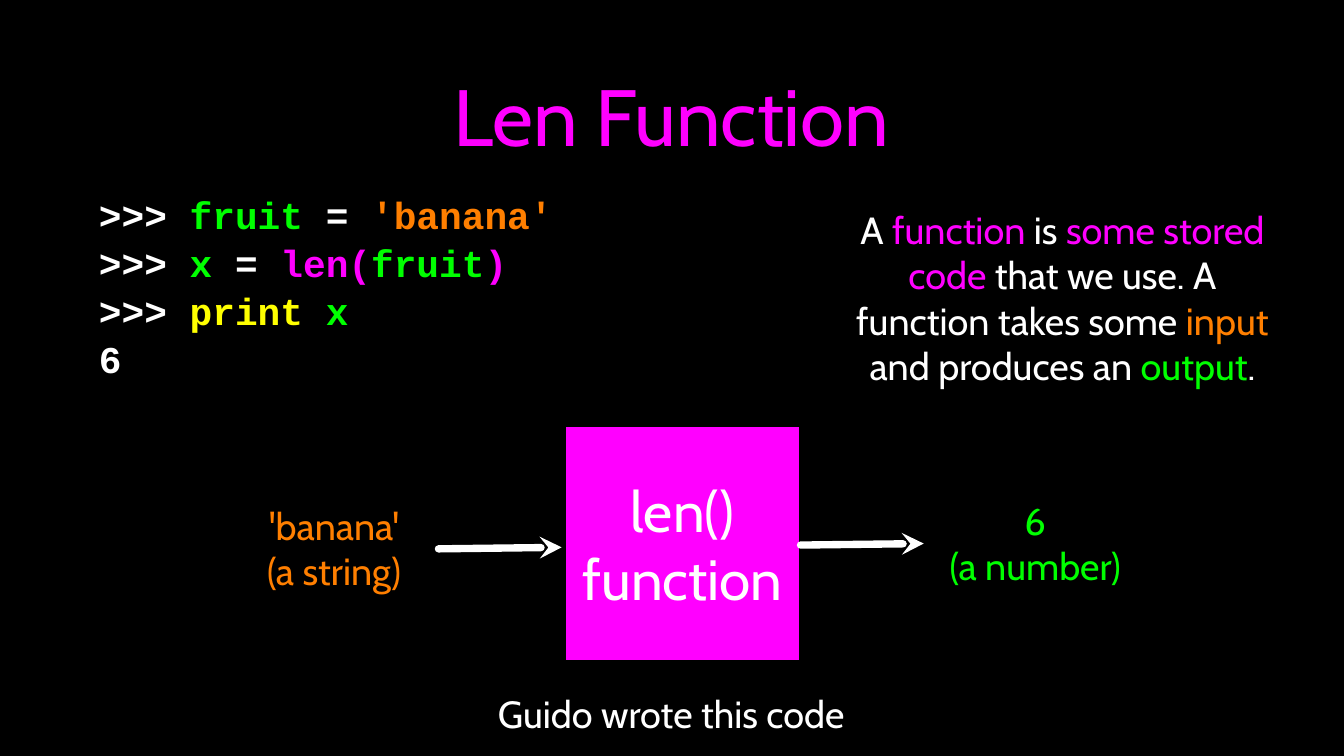
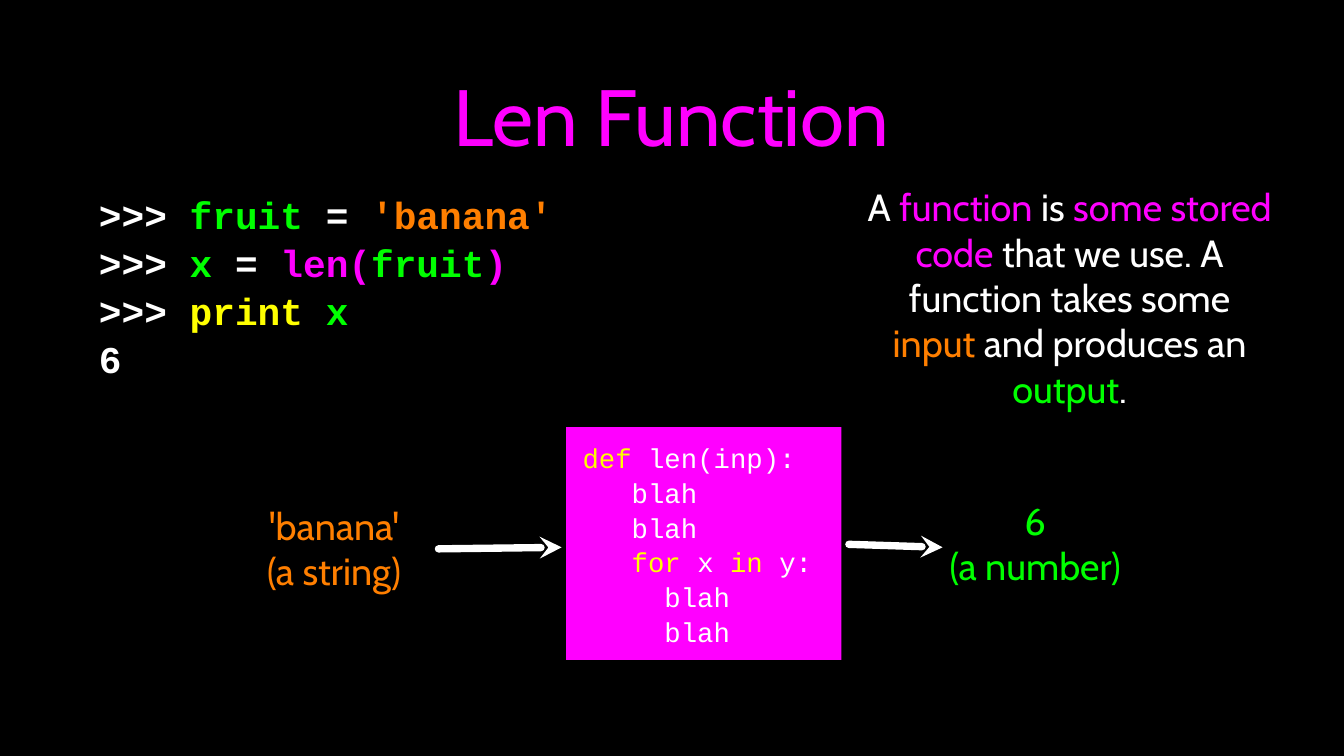
"""Build two slides that explain the len function."""

from dataclasses import dataclass
from typing import NamedTuple

from lxml.etree import SubElement
from pptx import Presentation
from pptx.dml.color import RGBColor
from pptx.enum.shapes import MSO_CONNECTOR, MSO_SHAPE
from pptx.enum.text import MSO_ANCHOR, PP_ALIGN
from pptx.oxml.ns import qn
from pptx.util import Inches, Pt


@dataclass(frozen=True)
class Theme:
    background: str = "000000"
    plain: str = "FFFFFF"
    function: str = "FF00FF"
    input: str = "FF7F00"
    output: str = "00FF00"
    keyword: str = "FFFF00"
    text_font: str = "Cabin"
    code_font: str = "Courier New"
    title_size: float = 76
    box_size: float = 54
    body_size: float = 36
    listing_size: float = 26
    arrow_width: float = 7


THEME = Theme()


class Span(NamedTuple):
    text: str
    color: str = THEME.plain


class Line(NamedTuple):
    spans: tuple[Span, ...]
    indent: int = 0


class Style(NamedTuple):
    size: float = THEME.body_size
    font: str = THEME.text_font
    bold: bool = False
    align: PP_ALIGN = PP_ALIGN.CENTER
    spacing: float = 1.0


class Area(NamedTuple):
    left: float
    top: float
    width: float
    height: float


class TextBlock(NamedTuple):
    area: Area
    lines: tuple[Line, ...]
    style: Style = Style()
    fill: str | None = None
    inset: float = 0


class Arrow(NamedTuple):
    start: tuple[float, float]
    end: tuple[float, float]


def plain_lines(color: str, *texts: str) -> tuple[Line, ...]:
    return tuple(Line((Span(text, color),)) for text in texts)


TITLE_STYLE = Style(size=THEME.title_size)
BOX_STYLE = Style(size=THEME.box_size)
CODE_STYLE = Style(font=THEME.code_font, bold=True, align=PP_ALIGN.LEFT, spacing=1.06)
LISTING_STYLE = CODE_STYLE._replace(size=THEME.listing_size, bold=False)

PROMPT = Span(">>> ")
SESSION = (
    Line((PROMPT, Span("fruit ", THEME.output), Span("="), Span(" 'banana'", THEME.input))),
    Line((PROMPT, Span("x ", THEME.output), Span("= "), Span("len(", THEME.function),
          Span("fruit", THEME.output), Span(")", THEME.function))),
    Line((PROMPT, Span("print ", THEME.keyword), Span("x", THEME.output))),
    Line((Span("6"),)),
)
DEFINITION = (
    Line((Span("A "), Span("function", THEME.function), Span(" is "),
          Span("some stored code", THEME.function),
          Span(" that we use. A function takes some "), Span("input", THEME.input),
          Span(" and produces an "), Span("output", THEME.output), Span("."))),
)
BLAH = Span("blah")
LISTING = (
    Line((Span("def", THEME.keyword), Span(" len(inp):")), 1),
    Line((BLAH,), 4),
    Line((BLAH,), 4),
    Line((Span("for", THEME.keyword), Span(" x "), Span("in", THEME.keyword), Span(" y:")), 4),
    Line((BLAH,), 6),
    Line((BLAH,), 6),
)

SHARED_BLOCKS = (
    TextBlock(Area(1.26, 0.26, 15.24, 2.51), plain_lines(THEME.function, "Len Function"),
              TITLE_STYLE, inset=0.04),
    TextBlock(Area(1.31, 2.56, 6.17, 2.42), SESSION, CODE_STYLE),
    TextBlock(Area(3.51, 6.64, 1.82, 1.21), plain_lines(THEME.input, "'banana'", "(a string)")),
    TextBlock(Area(12.51, 6.56, 2.37, 1.25), plain_lines(THEME.output, "6", "(a number)")),
)
INPUT_ARROW = Arrow((5.8, 7.26), (7.43, 7.24))

SLIDES = (
    (
        (
            TextBlock(Area(7.49, 5.65, 3.08, 3.08),
                      plain_lines(THEME.plain, "len()", "function"), BOX_STYLE, THEME.function),
            TextBlock(Area(11.25, 2.74, 5.61, 2.39), DEFINITION),
            TextBlock(Area(6.51, 9.1, 4.74, 0.68),
                      plain_lines(THEME.plain, "Guido wrote this code")),
        ),
        Arrow((10.59, 7.21), (12.22, 7.19)),
    ),
    (
        (
            TextBlock(Area(7.49, 5.65, 3.64, 3.08), LISTING, LISTING_STYLE, THEME.function),
            TextBlock(Area(11.45, 2.74, 5.4, 2.39), DEFINITION),
        ),
        Arrow((11.23, 7.2), (12.47, 7.24)),
    ),
)


def apply_format(target, values: dict) -> None:
    for name, value in values.items():
        setattr(target, name, value)


def write_lines(text_frame, block: TextBlock) -> None:
    style = block.style
    sides = ("left", "top", "right", "bottom")
    frame_format = {f"margin_{side}": Inches(block.inset) for side in sides}
    apply_format(text_frame, frame_format | {
        "word_wrap": True, "vertical_anchor": MSO_ANCHOR.MIDDLE})
    for index, line in enumerate(block.lines):
        paragraph = text_frame.add_paragraph() if index else text_frame.paragraphs[0]
        apply_format(paragraph, {"alignment": style.align, "line_spacing": style.spacing})
        if line.indent:
            properties = paragraph._p.get_or_add_pPr()
            properties.set("marL", str(Pt(line.indent * style.size * 0.6)))
            properties.set("indent", "0")
        for span in line.spans:
            run = paragraph.add_run()
            run.text = span.text
            apply_format(run.font, {
                "name": style.font, "size": Pt(style.size), "bold": style.bold})
            run.font.color.rgb = RGBColor.from_string(span.color)


def draw_block(slide, block: TextBlock) -> None:
    place = [Inches(length) for length in block.area]
    if block.fill:
        shape = slide.shapes.add_shape(MSO_SHAPE.RECTANGLE, *place)
        shape.shadow.inherit = False
        shape.fill.solid()
        shape.fill.fore_color.rgb = RGBColor.from_string(block.fill)
        shape.line.fill.background()
    else:
        shape = slide.shapes.add_textbox(*place)
    write_lines(shape.text_frame, block)


def draw_arrow(slide, arrow: Arrow) -> None:
    ends = [Inches(length) for length in arrow.start + arrow.end]
    connector = slide.shapes.add_connector(MSO_CONNECTOR.STRAIGHT, *ends)
    connector.line.width = Pt(THEME.arrow_width)
    connector.line.color.rgb = RGBColor.from_string(THEME.plain)
    outline = connector.line._get_or_add_ln()
    outline.set("cap", "rnd")
    SubElement(outline, qn("a:round"))
    SubElement(outline, qn("a:tailEnd"), type="stealth")
    SubElement(connector._element.spPr, qn("a:effectLst"))


def main() -> None:
    presentation = Presentation()
    apply_format(presentation, {"slide_width": Inches(17.78), "slide_height": Inches(10)})
    for blocks, output_arrow in SLIDES:
        slide = presentation.slides.add_slide(presentation.slide_layouts[6])
        slide.background.fill.solid()
        slide.background.fill.fore_color.rgb = RGBColor.from_string(THEME.background)
        for block in SHARED_BLOCKS + blocks:
            draw_block(slide, block)
        for arrow in (INPUT_ARROW, output_arrow):
            draw_arrow(slide, arrow)
    presentation.save("out.pptx")


if __name__ == "__main__":
    main()
